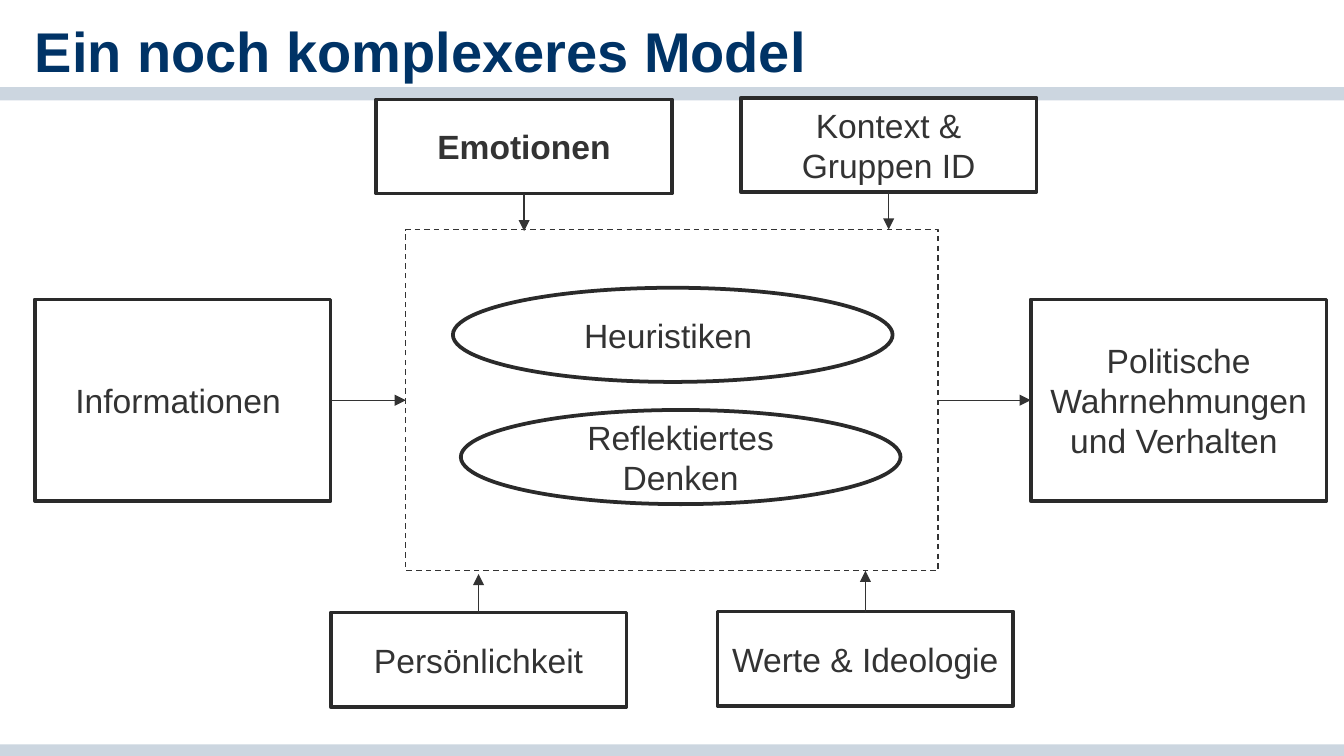
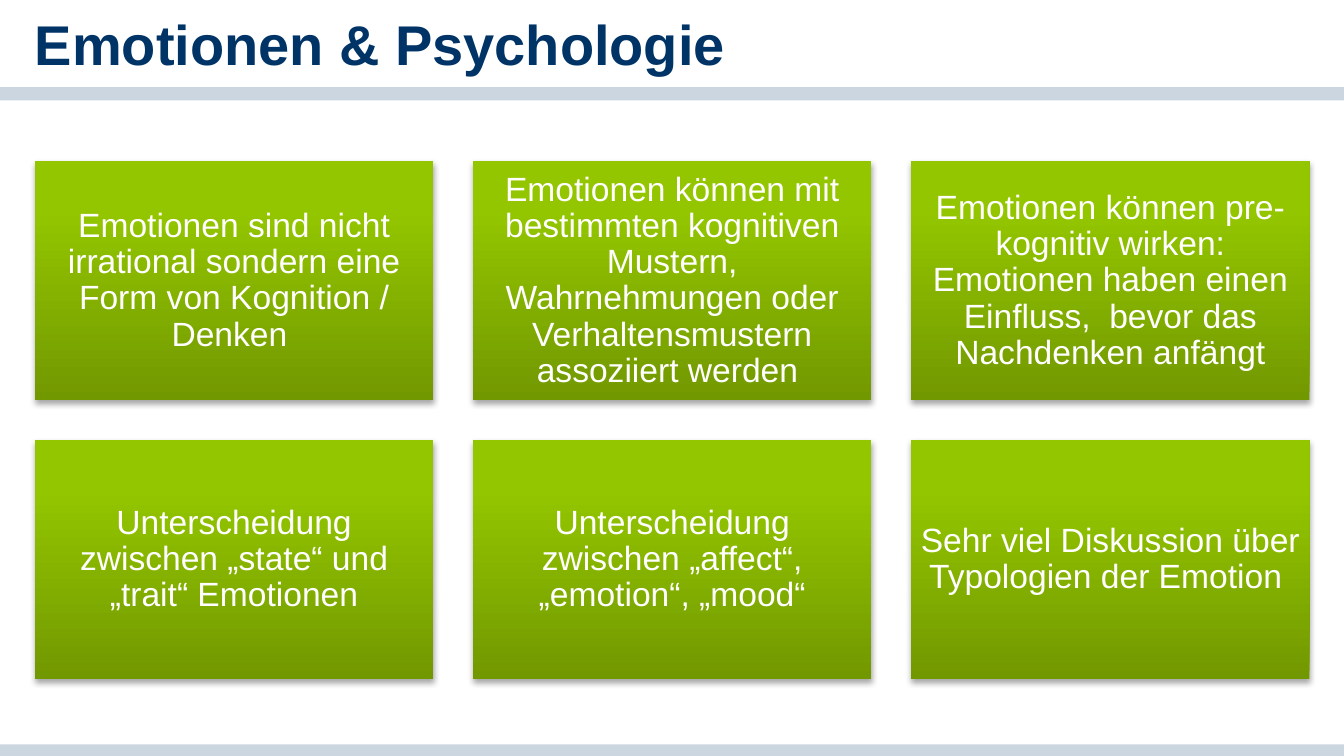
from lxml import etree
from pptx import Presentation
from pptx import util as u
from pptx.dml.color import RGBColor
from pptx.enum import dml, shapes, text
from pptx.oxml.ns import qn

Cm = u.Cm
FONT = "Arial"
NAVY, BAND, WHITE = "003366", "CCD6E0", "FFFFFF"
INK, FRAME = "333333", "2A2A2A"
GREENS = ((0, "729800"), (80, "94C600"), (100, "95C700"))
RECT, OVAL = shapes.MSO_SHAPE.RECTANGLE, shapes.MSO_SHAPE.OVAL
TOP, LEFT, BOTTOM, RIGHT = range(4)
MARGIN = 0.66


def rgb(value):
    """Return the colour for a hex string."""
    return RGBColor.from_string(value)


def add(parent, tag, **attrs):
    """Append a DrawingML element with the given attributes."""
    return etree.SubElement(parent, qn(tag), {k: str(v) for k, v in attrs.items()})


class Deck:
    """Hold the shared style and the current slide."""

    def __init__(self):
        """Start a widescreen presentation."""
        self.prs = Presentation()
        self.prs.slide_width, self.prs.slide_height = Cm(25.4), Cm(14.29)
        self.s = None

    def slide(self, title, spacing=1.0):
        """Add a slide with its bands and title."""
        self.s = self.prs.slides.add_slide(self.prs.slide_layouts[6])
        for y in (14.07, 1.65):
            self.shape(RECT, 0, y, 25.4, 0.25, fill=BAND)
        tb = self.s.shapes.add_textbox(Cm(MARGIN), Cm(0.2), Cm(17.93), Cm(1.19))
        tf = tb.text_frame
        tf.margin_left = tf.margin_right = tf.margin_bottom = 0
        tf.margin_top = Cm(0.12)
        self.label(tf, title, 30, NAVY, True, text.PP_ALIGN.LEFT, spacing)

    def label(self, tf, words, size, color, bold=False,
              align=text.PP_ALIGN.CENTER, spacing=1.0):
        """Put one styled paragraph into a text frame."""
        tf.word_wrap = True
        p = tf.paragraphs[0]
        p.text, p.alignment, p.line_spacing = words, align, spacing
        p.font.name, p.font.size, p.font.bold = FONT, u.Pt(size), bold
        p.font.color.rgb = rgb(color)

    def shape(self, kind, x, y, w, h, fill=None, line=None, width=2):
        """Add a flat preset shape."""
        sp = self.s.shapes.add_shape(kind, Cm(x), Cm(y), Cm(w), Cm(h))
        sp.shadow.inherit = False
        if fill:
            sp.fill.solid()
            sp.fill.fore_color.rgb = rgb(fill)
        else:
            sp.fill.background()
        if line:
            sp.line.color.rgb, sp.line.width = rgb(line), u.Pt(width)
        else:
            sp.line.fill.background()
        return sp

    def node(self, words, x, y, w=5.59, h=1.78, kind=RECT, bold=False):
        """Add an outlined diagram node with centred text."""
        sp = self.shape(kind, x, y, w, h, WHITE, FRAME)
        sp.text_frame.vertical_anchor = text.MSO_ANCHOR.MIDDLE
        self.label(sp.text_frame, words, 18, INK, bold)
        return sp

    def arrow(self, start, side, end, end_side=None):
        """Draw an arrow to a node side, or straight up or down to a height."""
        mid = start.left + start.width // 2
        y = 0 if end_side is not None else Cm(end)
        cn = self.s.shapes.add_connector(
            shapes.MSO_CONNECTOR.STRAIGHT, mid, start.top, mid, y)
        cn.begin_connect(start, side)
        if end_side is not None:
            cn.end_connect(end, end_side)
        cn.line.color.rgb, cn.line.width = rgb(INK), u.Pt(0.75)
        props = cn.element.spPr
        add(props.find(qn("a:ln")), "a:tailEnd", type="triangle")
        add(props, "a:effectLst")

    def card(self, words, x, y, w, h):
        """Add a green gradient card with a soft shadow."""
        sp = self.shape(RECT, x, y, w, h)
        sp.fill.gradient()
        sp.fill.gradient_angle = 90
        props = sp.element.spPr
        stops = props.find(".//" + qn("a:gsLst"))
        for old in list(stops):
            stops.remove(old)
        for pos, color in GREENS:
            add(add(stops, "a:gs", pos=pos * 1000), "a:srgbClr", val=color)
        shadow = add(props.find(qn("a:effectLst")), "a:outerShdw",
                     blurRad=int(u.Pt(3.1)), dist=int(u.Pt(1.8)),
                     dir=5400000, rotWithShape=0)
        add(add(shadow, "a:srgbClr", val="000000"), "a:alpha", val=35000)
        tf = sp.text_frame
        tf.margin_left = tf.margin_right = tf.margin_top = tf.margin_bottom = Cm(0.18)
        tf.vertical_anchor = text.MSO_ANCHOR.MIDDLE
        self.label(tf, words, 18, WHITE, spacing=0.9)


def model_slide(deck):
    """Build the diagram of the model."""
    deck.slide("Ein noch komplexeres Model")
    outcome = deck.node("Politische Wahrnehmungen und Verhalten ", 19.48, 5.66, h=3.81)
    deck.node("Reflektiertes Denken", 8.71, 7.75, 8.31, kind=OVAL)
    personality = deck.node("Persönlichkeit", 6.25, 11.58)
    values = deck.node("Werte & Ideologie", 13.56, 11.56)
    context = deck.node("Kontext & Gruppen ID", 14, 1.85)
    deck.node("Heuristiken ", 8.56, 5.44, 8.31, kind=OVAL)
    mind = deck.shape(RECT, 7.67, 4.34, 10.06, 6.45, line=INK, width=0.75)
    mind.line.dash_style = dml.MSO_LINE.DASH
    information = deck.node("Informationen ", MARGIN, 5.66, h=3.81)
    emotions = deck.node("Emotionen", 7.11, 1.88, bold=True)

    deck.arrow(information, RIGHT, mind, LEFT)
    deck.arrow(mind, RIGHT, outcome, LEFT)
    deck.arrow(personality, TOP, 10.85)
    deck.arrow(values, TOP, 10.79)
    deck.arrow(context, BOTTOM, 4.34)
    deck.arrow(emotions, BOTTOM, 4.37)


def psychology_slide(deck):
    """Build the grid of cards."""
    deck.slide("Emotionen & Psychologie", 0.9)
    cards = (
        "Emotionen sind nicht irrational sondern eine Form von Kognition / Denken ",
        "Emotionen können mit bestimmten kognitiven Mustern, Wahrnehmungen oder "
        "Verhaltensmustern assoziiert werden ",
        "Emotionen können pre-kognitiv wirken: Emotionen haben einen Einfluss,  "
        "bevor das Nachdenken anfängt",
        "Unterscheidung zwischen „state“ und „trait“ Emotionen",
        "Unterscheidung zwischen „affect“, „emotion“, „mood“",
        "Sehr viel Diskussion über Typologien der Emotion ",
    )
    w, h, gap = 7.53, 4.52, 0.75
    for i, words in enumerate(cards):
        row, col = divmod(i, 3)
        deck.card(words, MARGIN + col * (w + gap), 3.05 + row * (h + gap), w, h)


def main():
    """Build and save the presentation."""
    deck = Deck()
    model_slide(deck)
    psychology_slide(deck)
    deck.prs.save("out.pptx")


if __name__ == "__main__":
    main()
